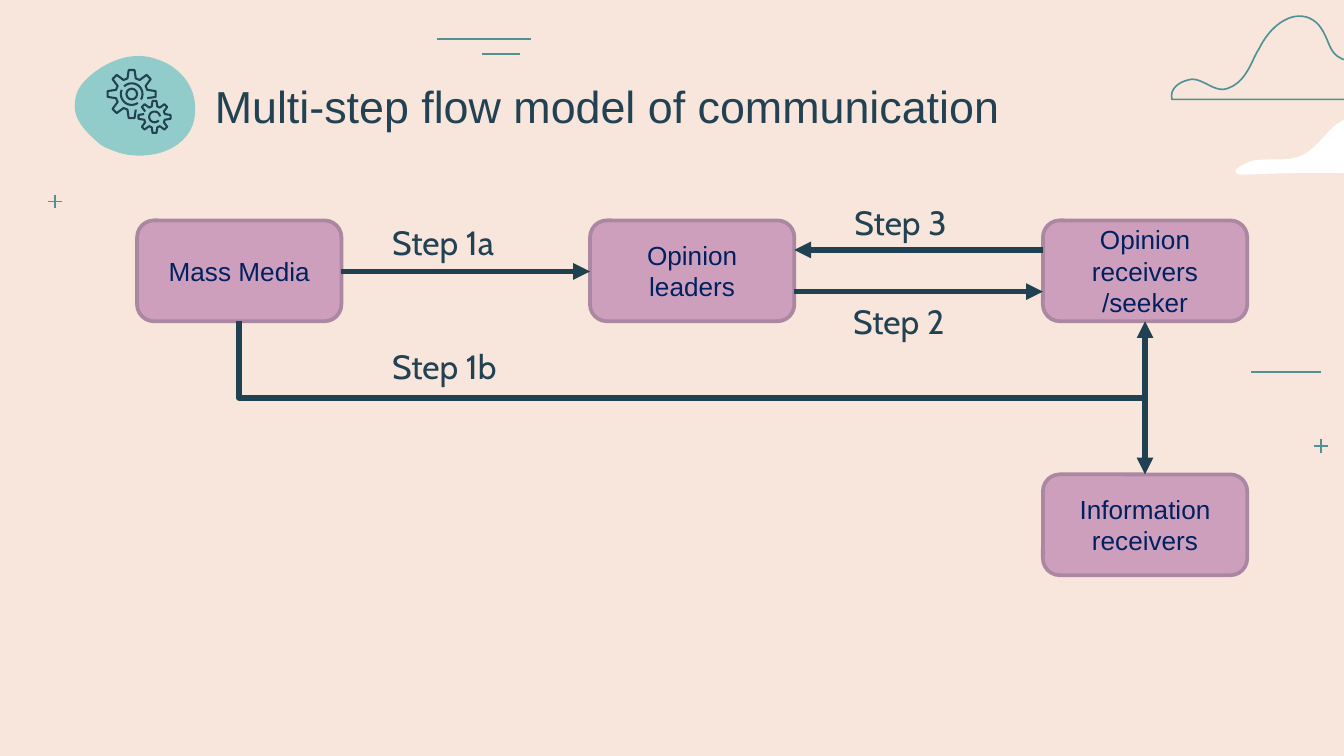
from math import cos, radians, sin

from pptx import Presentation
from pptx import util as u
from pptx.dml.color import RGBColor
from pptx.enum import shapes, text
from pptx.oxml import ns
from lxml import etree

CREAM = RGBColor(0xF8, 0xE6, 0xDC)
WHITE = RGBColor(0xFF, 0xFF, 0xFF)
TEAL = RGBColor(0x50, 0x91, 0x95)
AQUA = RGBColor(0x92, 0xCC, 0xCA)
INK = RGBColor(0x22, 0x42, 0x53)
ARROW = RGBColor(0x20, 0x41, 0x52)
PINK = RGBColor(0xCE, 0x9F, 0xBC)
MAUVE = RGBColor(0xAA, 0x88, 0xA1)
NAVY = RGBColor(0x00, 0x20, 0x60)


def write(frame, words, font="Arial", size=14, color=NAVY, align=None, lead=None):
    """Fill a text frame, one paragraph per line of words."""
    for i, row in enumerate(words.split("\n")):
        para = frame.paragraphs[0] if i == 0 else frame.add_paragraph()
        para.text = row
        para.alignment = align
        para.line_spacing = lead
        para.font.name = font
        para.font.size = u.Pt(size)
        para.font.color.rgb = color


def curve(start, *parts, steps=10):
    """Points along cubic Bezier parts (x1, y1, x2, y2, x, y)."""
    pts = [start]
    for x1, y1, x2, y2, x3, y3 in parts:
        x0, y0 = pts[-1]
        for i in range(1, steps + 1):
            t = i / steps
            a, b, c, d = (1 - t) ** 3, 3 * t * (1 - t) ** 2, 3 * t * t * (1 - t), t ** 3
            pts.append((a * x0 + b * x1 + c * x2 + d * x3,
                        a * y0 + b * y1 + c * y2 + d * y3))
    return pts


def polar(mid, rad, deg):
    return mid[0] + rad * cos(radians(deg)), mid[1] + rad * sin(radians(deg))


def arc(mid, rad, first, last):
    return [polar(mid, rad, first + (last - first) * i / 30) for i in range(31)]


def cog(mid, root, tip, teeth):
    """Outline of a gear with eight places for teeth."""
    turns = ((root, -15), (tip, -7), (tip, 7), (root, 15))
    return [polar(mid, rad, 45 * n + turn) for n in teeth for rad, turn in turns]


class Deck:
    def __init__(self):
        self.prs = Presentation()
        self.prs.slide_width = u.Inches(10)
        self.prs.slide_height = u.Inches(10) * 9 // 16
        self.slide = self.prs.slides.add_slide(self.prs.slide_layouts[6])
        self.slide.background.fill.solid()
        self.slide.background.fill.fore_color.rgb = CREAM
        self.items = self.slide.shapes

    def paint(self, shape, fill=None, line=None, width=1):
        shape.shadow.inherit = False
        if fill is None:
            shape.fill.background()
        else:
            shape.fill.solid()
            shape.fill.fore_color.rgb = fill
        if line is None:
            shape.line.fill.background()
        else:
            shape.line.color.rgb = line
            shape.line.width = u.Pt(width)

    def form(self, pts, close=True, turn=0, **look):
        spots = [(u.Inches(x), u.Inches(y)) for x, y in pts]
        pen = self.items.build_freeform(*spots[0], scale=1.0)
        pen.add_line_segments(spots[1:], close=close)
        shape = pen.convert_to_shape()
        shape.rotation = turn
        self.paint(shape, **look)

    def ring(self, mid, rad, **look):
        x, y = mid
        shape = self.items.add_shape(
            shapes.MSO_SHAPE.OVAL, u.Inches(x - rad), u.Inches(y - rad),
            u.Inches(2 * rad), u.Inches(2 * rad))
        self.paint(shape, **look)

    def box(self, x, y, words):
        shape = self.items.add_shape(
            shapes.MSO_SHAPE.ROUNDED_RECTANGLE,
            u.Inches(x), u.Inches(y), u.Inches(1.52), u.Inches(0.75))
        self.paint(shape, PINK, MAUVE, 2)
        shape.text_frame.vertical_anchor = text.MSO_ANCHOR.MIDDLE
        write(shape.text_frame, words, align=text.PP_ALIGN.CENTER)

    def label(self, x, y, w, h, words, **form):
        frame = self.items.add_textbox(
            u.Inches(x), u.Inches(y), u.Inches(w), u.Inches(h)).text_frame
        frame.word_wrap = True
        frame.margin_left = frame.margin_right = u.Inches(0.1)
        frame.margin_top = frame.margin_bottom = u.Inches(0.1)
        write(frame, words, **form)

    def line(self, x1, y1, x2, y2, color=ARROW, width=3, ends=(), kind="STRAIGHT"):
        link = self.items.add_connector(
            shapes.MSO_CONNECTOR[kind],
            u.Inches(x1), u.Inches(y1), u.Inches(x2), u.Inches(y2))
        link.line.color.rgb = color
        link.line.width = u.Pt(width)
        for end in ends:
            etree.SubElement(link.line._get_or_add_ln(), ns.qn("a:" + end), type="triangle")
        etree.SubElement(link.element.spPr, ns.qn("a:effectLst"))
        return link

    def elbow(self, x1, y1, x2, y2):
        """Go down from the start, then right to the end."""
        midx, midy = (x1 + x2) / 2, (y1 + y2) / 2
        dx, dy = (y2 - y1) / 2, (x2 - x1) / 2
        props = self.line(midx + dx, midy - dy, midx - dx, midy + dy, kind="ELBOW").element.spPr
        props.find(ns.qn("a:xfrm")).set("rot", str(270 * 60000))
        props.find(ns.qn("a:prstGeom")).set("prst", "bentConnector2")


deck = Deck()

# Clouds
deck.form(curve((10.05, 0.87), (9.96, 0.9, 9.9, 0.96, 9.85, 1.02),
                (9.8, 1.07, 9.75, 1.13, 9.68, 1.16), (9.58, 1.2, 9.48, 1.18, 9.37, 1.19),
                (9.28, 1.19, 9.09, 1.3, 9.26, 1.3), (9.52, 1.29, 9.76, 1.28, 10.05, 1.29)),
          fill=WHITE)
deck.form(curve((10.68, 0.74), (10.68, 0.65, 10.51, 0.68, 10.42, 0.68),
                (10.39, 0.68, 10.35, 0.68, 10.33, 0.64), (10.31, 0.6, 10.33, 0.55, 10.33, 0.51),
                (10.32, 0.42, 10.23, 0.39, 10.17, 0.41), (10.1, 0.43, 10.03, 0.47, 9.97, 0.43),
                (9.89, 0.39, 9.89, 0.3, 9.83, 0.21), (9.77, 0.12, 9.67, 0.1, 9.58, 0.14),
                (9.49, 0.18, 9.42, 0.26, 9.37, 0.36), (9.31, 0.45, 9.28, 0.61, 9.13, 0.66),
                (9.04, 0.69, 8.96, 0.59, 8.87, 0.59), (8.79, 0.6, 8.7, 0.65, 8.72, 0.74)),
          line=TEAL, width=0.88)

# Dashes and plus signs
for x, y, w in ((3.25, 0.29, 0.7), (3.59, 0.4, 0.28), (9.31, 2.77, 0.52)):
    deck.line(x, y, x + w, y, TEAL, 1.32)
for x, y in ((9.83, 3.32), (0.41, 1.5)):
    deck.line(x, y - 0.05, x, y + 0.05, TEAL, 0.88)
    deck.line(x - 0.05, y, x + 0.05, y, TEAL, 0.88)

# Title
deck.label(1.5, 0.56, 8.07, 0.46, "Multi-step flow model of communication",
           size=24, color=INK, lead=0.8)

# Gear badge
deck.form(curve((0.93, 1.15), (1.05, 1.17, 1.19, 1.14, 1.29, 1.08),
                (1.43, 0.99, 1.5, 0.85, 1.43, 0.66), (1.38, 0.53, 1.25, 0.44, 1.11, 0.42),
                (0.92, 0.38, 0.74, 0.5, 0.64, 0.62), (0.59, 0.68, 0.55, 0.75, 0.56, 0.83),
                (0.56, 0.96, 0.68, 1.04, 0.79, 1.11), (0.83, 1.13, 0.88, 1.14, 0.93, 1.15)),
          turn=9.1, fill=AQUA)
BIG, SMALL = (0.98, 0.7), (1.15, 0.87)
for pts in (cog(BIG, 0.12, 0.18, range(2, 9)), arc(BIG, 0.08, 225, 390),
            arc(BIG, 0.08, 55, 203), cog(SMALL, 0.08, 0.12, range(5, 13)),
            arc(SMALL, 0.04, 40, 355)):
    deck.form(pts, close=False, line=INK, width=1.1)
deck.ring(BIG, 0.04, line=INK, width=1.1)

# Boxes
LEFT, MID, RIGHT = (1.02 + 3.37 * i for i in range(3))
for x, y, words in ((LEFT, 1.64, "Mass Media"), (MID, 1.64, "Opinion leaders"),
                    (RIGHT, 1.64, "Opinion receivers\n/seeker"),
                    (RIGHT, 3.53, "Information receivers")):
    deck.box(x, y, words)

# Arrows
deck.line(LEFT + 1.52, 2.02, MID, 2.02, ends=["tailEnd"])
deck.line(MID + 1.52, 2.17, RIGHT, 2.17, ends=["tailEnd"])
deck.line(RIGHT, 1.86, MID + 1.52, 1.86, ends=["tailEnd"])
deck.elbow(LEFT + 0.76, 2.39, RIGHT + 0.76, 2.96)
deck.line(RIGHT + 0.76, 2.39, RIGHT + 0.76, 3.53, ends=["headEnd", "tailEnd"])

# Step labels
for x, y, w, step in ((2.82, 1.55, 1.03, "1a"), (2.82, 2.47, 1.16, "1b"),
                      (6.25, 2.14, 1.16, "2"), (6.26, 1.4, 1.16, "3")):
    deck.label(x, y, w, 0.41, "Step " + step, font="Cabin", size=18, color=INK)

deck.prs.save("out.pptx")
